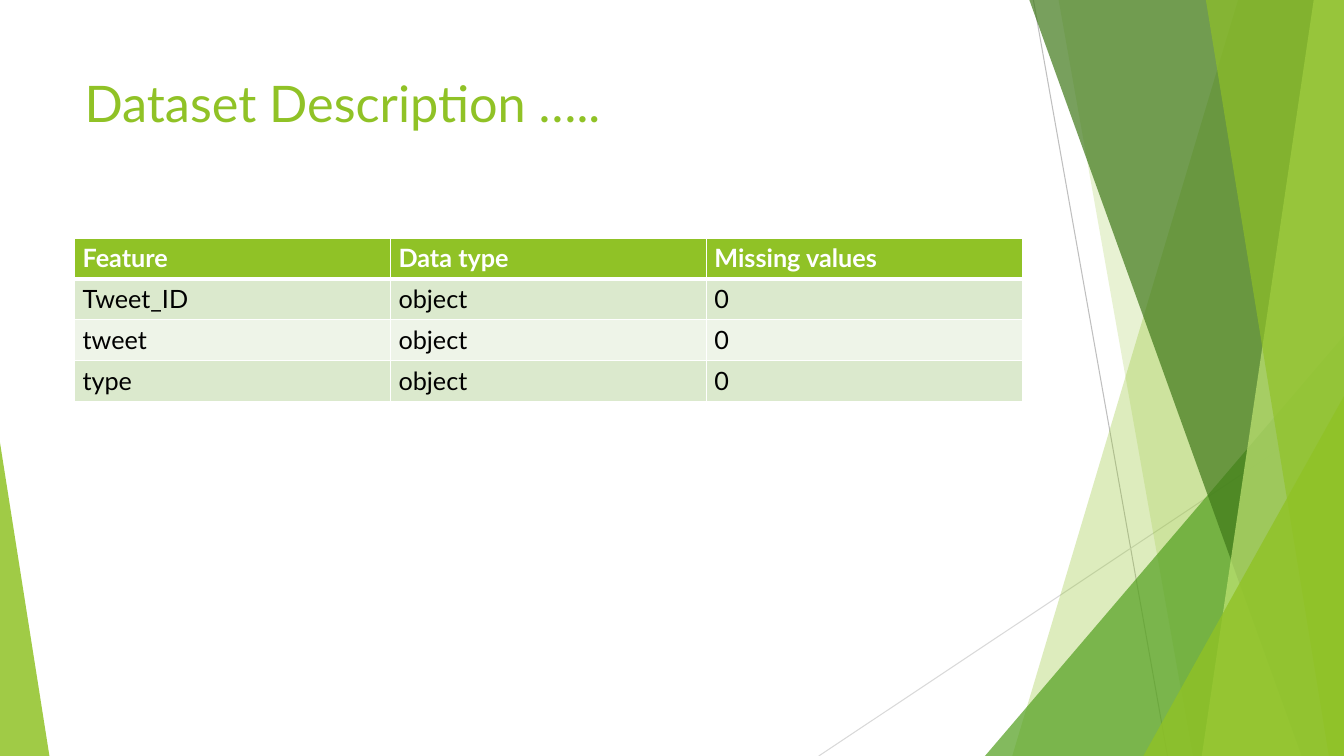
from dataclasses import dataclass

from pptx import Presentation
from pptx.dml.color import RGBColor as Rgb
from pptx.enum.shapes import MSO_CONNECTOR as Connector, MSO_SHAPE as Preset
from pptx.oxml import parse_xml
from pptx.oxml.ns import nsdecls, qn
from pptx.util import Inches, Pt


@dataclass(frozen=True)
class Theme:
    """Colours, font and type sizes of the slide."""
    font: str = "Lato"
    title_size: int = 36
    table_size: int = 18
    lime: str = "90C226"
    pale_lime: str = "C0E474"
    green: str = "54A021"
    forest: str = "3F7819"
    band_odd: str = "DBE9CD"
    band_even: str = "EEF4E8"
    white: str = "FFFFFF"
    black: str = "000000"
    grey: str = "BFBFBF"
    light_grey: str = "D9D9D9"


def assign(target, values):
    """Set every attribute named in values on target."""
    for name, value in values.items():
        setattr(target, name, value)


class SlideBuilder:
    """Draws on one slide; lengths are percentages of its width and height."""

    def __init__(self, deck, theme):
        """Add a blank slide to the deck."""
        self.deck, self.theme = deck, theme
        self.slide = deck.slides.add_slide(deck.slide_layouts[6])
        self.shapes = self.slide.shapes

    def point(self, x, y):
        """Turn percentages into slide lengths."""
        return (round(self.deck.slide_width * x / 100),
                round(self.deck.slide_height * y / 100))

    def box(self, left, top, width, height):
        """Turn a percentage box into slide lengths."""
        return self.point(left, top) + self.point(width, height)

    def paint(self, facet, color, opacity):
        """Give a shape a see-through fill without outline or shadow."""
        facet.shadow.inherit = False
        facet.line.fill.background()
        facet.fill.solid()
        facet.fill.fore_color.rgb = Rgb.from_string(color)
        tint = facet._element.spPr.find(".//" + qn("a:srgbClr"))
        tint.append(parse_xml(f'<a:alpha {nsdecls("a")} val="{opacity * 1000}"/>'))

    def line(self, start, end, color):
        """Draw a hairline between two points."""
        ray = self.shapes.add_connector(
            Connector.STRAIGHT, *self.point(*start), *self.point(*end))
        ray.line.color.rgb = Rgb.from_string(color)
        ray.line.width = Pt(0.75)
        ray._element.spPr.append(parse_xml(f'<a:effectLst {nsdecls("a")}/>'))

    def ribbon(self, top_x, bottom_x, color, opacity):
        """Fill from a slanted left side to the right slide edge."""
        outline = self.shapes.build_freeform(*self.point(top_x, 0))
        outline.add_line_segments(
            [self.point(*corner) for corner in ((100, 0), (100, 100), (bottom_x, 100))])
        self.paint(outline.convert_to_shape(), color, opacity)

    def corner(self, left, top, width, peak, color, opacity):
        """Draw a triangle standing on the bottom edge; peak is 0 or 1."""
        wedge = self.shapes.add_shape(
            Preset.ISOSCELES_TRIANGLE, *self.box(left, top, width, 100 - top))
        wedge.adjustments[0] = peak
        self.paint(wedge, color, opacity)

    def label(self, frame, text, size, color, bold=False):
        """Put one styled run into a text frame."""
        run = frame.paragraphs[0].add_run()
        run.text = text
        assign(run.font, {"name": self.theme.font, "size": Pt(size), "bold": bold})
        run.font.color.rgb = Rgb.from_string(color)

    def title(self, text, *place):
        """Add the slide heading."""
        heading = self.shapes.add_textbox(*self.box(*place))
        heading.text_frame.word_wrap = True
        self.label(heading.text_frame, text, self.theme.title_size, self.theme.lime)

    def borders(self, cell, bottom):
        """Draw white cell edges, the bottom one of the given width."""
        for side, width in (("L", 1), ("R", 1), ("T", 1), ("B", bottom)):
            cell._tc.get_or_add_tcPr().append(parse_xml(
                f'<a:ln{side} {nsdecls("a")} w="{Pt(width)}"><a:solidFill>'
                f'<a:srgbClr val="{self.theme.white}"/></a:solidFill></a:ln{side}>'))

    def table(self, rows, *place):
        """Add a table with a header row and alternating bands."""
        theme = self.theme
        grid = self.shapes.add_table(len(rows), len(rows[0]), *self.box(*place)).table
        assign(grid, {"first_row": True, "horz_banding": False})
        margins = {"margin_left": Inches(0.08), "margin_right": Inches(0.08),
                   "margin_top": Inches(0.05), "margin_bottom": Inches(0.05)}
        for r, row in enumerate(rows):
            header = r == 0
            fill = theme.lime if header else (theme.band_even, theme.band_odd)[r % 2]
            for c, text in enumerate(row):
                cell = grid.cell(r, c)
                assign(cell, margins)
                self.borders(cell, 3 if header else 1)
                cell.fill.solid()
                cell.fill.fore_color.rgb = Rgb.from_string(fill)
                self.label(cell.text_frame, text, theme.table_size,
                           theme.white if header else theme.black, header)


def main():
    """Build the dataset description slide."""
    deck = Presentation()
    assign(deck, {"slide_width": Inches(13.33), "slide_height": Inches(7.5)})
    theme = Theme()
    page = SlideBuilder(deck, theme)

    page.line((76.89, 0), (86.87, 100), theme.grey)
    page.line((100, 53.73), (60.92, 100), theme.light_grey)
    page.ribbon(92.12, 75.32, theme.lime, 30)
    page.ribbon(78.77, 88.75, theme.lime, 20)
    page.corner(73.29, 44.4, 26.71, 1, theme.green, 72)
    page.ribbon(76.59, 96.85, theme.forest, 70)
    page.ribbon(97.75, 89.42, theme.pale_lime, 70)
    page.ribbon(89.72, 98.87, theme.lime, 65)
    page.corner(85.07, 52.4, 14.93, 1, theme.lime, 80)
    page.corner(0, 58.53, 3.68, 0, theme.lime, 85)

    left, width = 5.55, 70.52
    page.title("Dataset Description …..", left, 8.93, width, 19.2)
    features = ["Tweet_ID", "tweet", "type"]
    page.table([("Feature", "Data type", "Missing values"),
                *((feature, "object", "0") for feature in features)],
               left, 31.47, width, 21.6)
    deck.save("out.pptx")


main()
